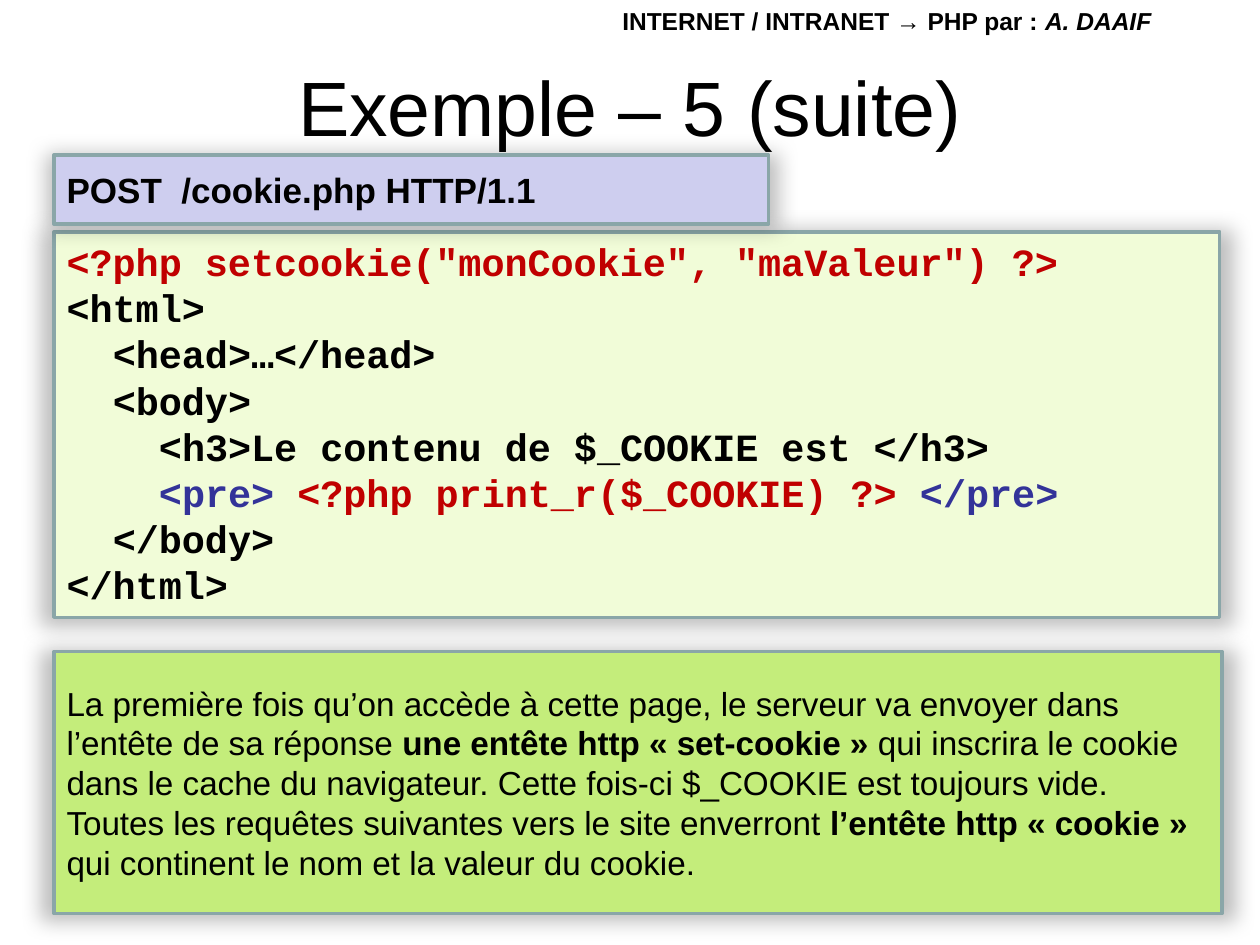
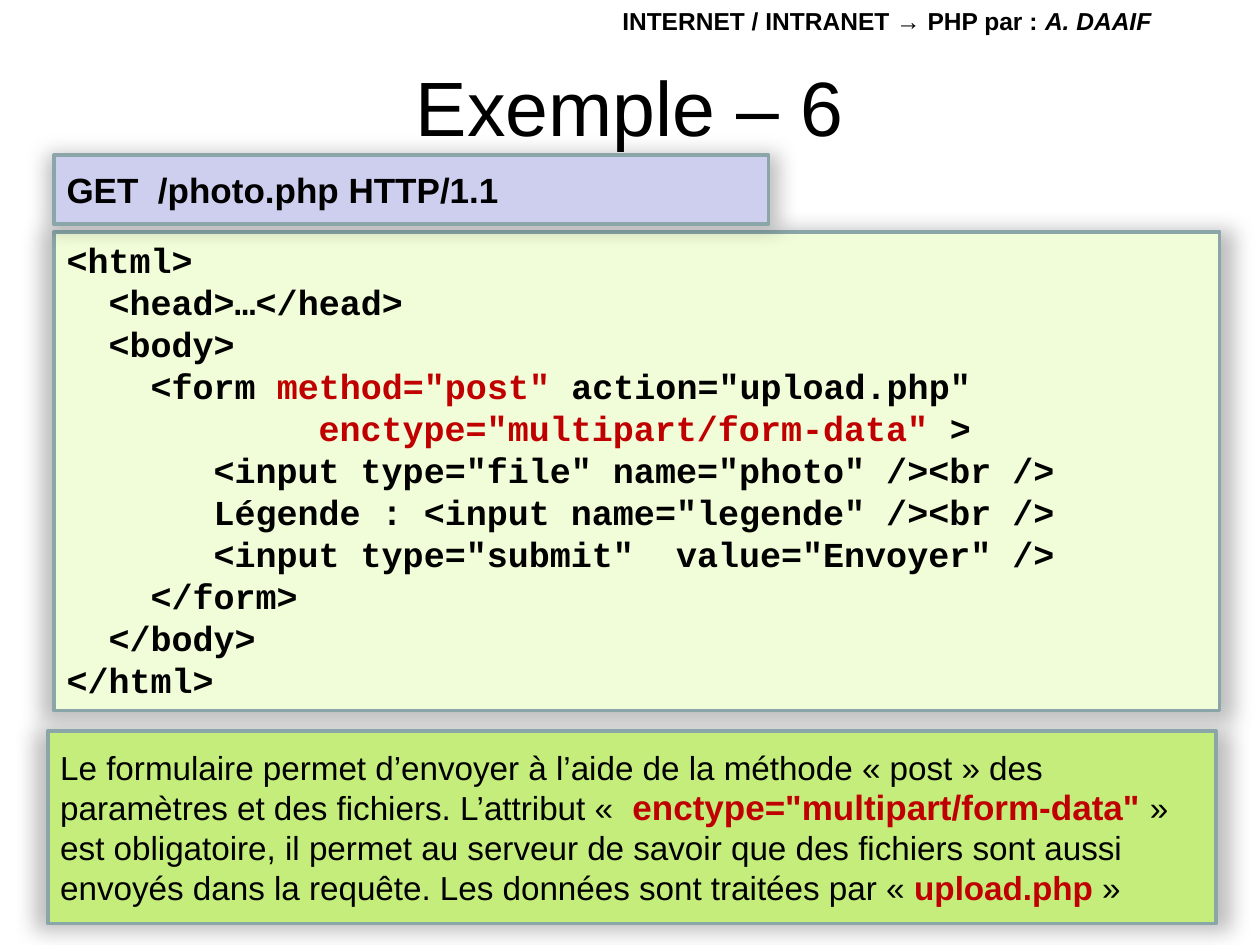
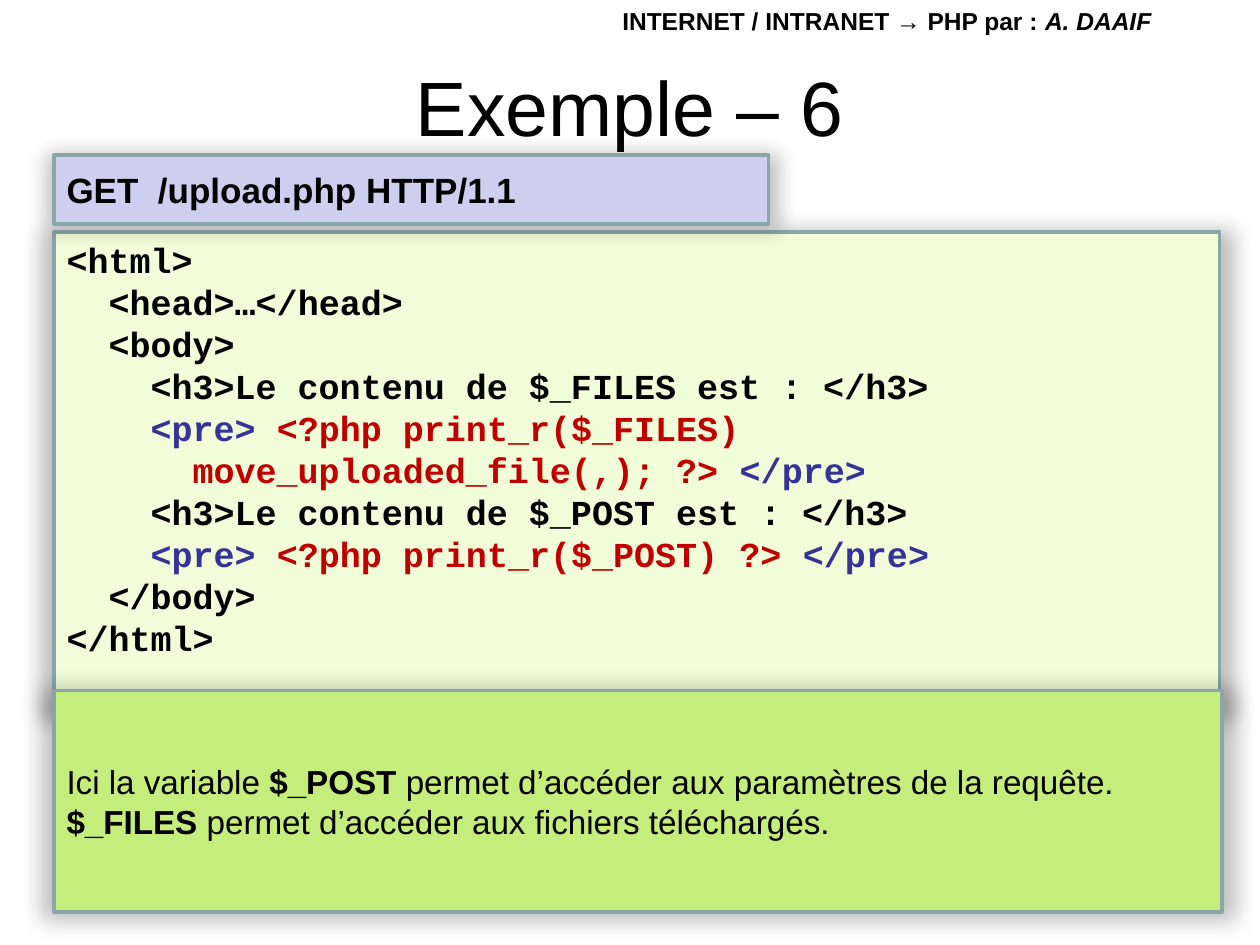
from lxml import etree
from pptx import Presentation
from pptx import util as u
from pptx.dml.color import RGBColor
from pptx.enum import shapes, text
from pptx.oxml.ns import qn

COLORS = {
    "black": "000000", "red": "C00000", "blue": "333399", "border": "8AA6A8",
    "code": "F1FCD8", "note": "C4ED7B", "request": "CECEEF",
}
SHADOWS = {
    "box": {"blurRad": u.Pt(12), "dist": 0, "dir": 5400000, "sx": 102000,
            "sy": 102000, "algn": "t", "rotWithShape": 0, "alpha": 25000},
    "title": {"blurRad": u.Pt(4), "dist": u.Pt(3), "dir": 2700000,
              "algn": "tl", "alpha": 43000},
}
LINE_PITCH = 1.2       # line distance as a share of the font size
COLUMN_WIDTH = 0.6     # Courier New character width as a share of the font size

# Run formats
PLAIN = {}
RED = {"color": "red"}
BLUE = {"color": "blue"}
BOLD = {"bold": True}
ALERT = {"color": "red", "bold": True}
ITALIC = {"italic": True}

HEADER = [(0, [("INTERNET / INTRANET → PHP par : ", PLAIN), ("A. DAAIF", ITALIC)])]

# Paragraphs are (indent in columns, runs); runs are (text, format)
SLIDES = [
    {
        "title": "Exemple – 5 (suite)",
        "request": "POST  /cookie.php HTTP/1.1",
        "code_size": 22, "code_height": 3.06,
        "code": [
            (0, [('<?php setcookie("monCookie", "maValeur") ?>', RED)]),
            (0, [("<html>", PLAIN)]),
            (2, [("<head>…</head>", PLAIN)]),
            (2, [("<body>", PLAIN)]),
            (4, [("<h3>Le contenu de $_COOKIE est </h3>", PLAIN)]),
            (4, [("<pre> ", BLUE), ("<?php print_r($_COOKIE) ?> ", RED), ("</pre>", BLUE)]),
            (2, [("</body>", PLAIN)]),
            (0, [("</html>", PLAIN)]),
        ],
        "note_at": (0.43, 5.17, 9.27, 2.08),
        "note": [
            (0, [("La première fois qu’on accède à cette page, le serveur va envoyer "
                  "dans l’entête de sa réponse ", PLAIN),
                 ("une entête http «\u00a0set-cookie\u00a0» ", BOLD),
                 ("qui inscrira le cookie dans le cache du navigateur. Cette fois-ci "
                  "$_COOKIE est toujours vide.", PLAIN)]),
            (0, [("Toutes les requêtes suivantes vers le site enverront ", PLAIN),
                 ("l’entête http «\u00a0cookie\u00a0» ", BOLD),
                 ("qui continent le nom et la valeur du cookie.", PLAIN)]),
        ],
    },
    {
        "title": "Exemple – 6",
        "request": "GET  /photo.php HTTP/1.1",
        "code_size": 20, "code_height": 3.8,
        "code": [
            (0, [("<html>", PLAIN)]),
            (2, [("<head>…</head>", PLAIN)]),
            (2, [("<body>", PLAIN)]),
            (4, [("<form ", PLAIN), ('method="post" ', RED), ('action="upload.php"', PLAIN)]),
            (12, [('enctype="multipart/form-data"', RED), (" >", PLAIN)]),
            (7, [('<input type="file" name="photo" /><br />', PLAIN)]),
            (7, [('Légende : <input name="legende" /><br />', PLAIN)]),
            (7, [('<input type="submit"\u00a0 value="Envoyer" />', PLAIN)]),
            (4, [("</form>", PLAIN)]),
            (2, [("</body>", PLAIN)]),
            (0, [("</html>", PLAIN)]),
        ],
        "note_at": (0.38, 5.8, 9.27, 1.53),
        "note": [
            (0, [("Le formulaire permet d’envoyer à l’aide de la méthode "
                  "«\u00a0post\u00a0» des paramètres et des fichiers. L’attribut «\u00a0", PLAIN),
                 (' enctype="multipart/form-data" ', {**ALERT, "size": 20}),
                 ("» est obligatoire, il permet au serveur de savoir que des fichiers "
                  "sont aussi envoyés dans la requête. Les données sont traitées par "
                  "«\u00a0", PLAIN),
                 ("upload.php", ALERT), ("\u00a0»", PLAIN)]),
        ],
    },
    {
        "title": "Exemple – 6",
        "request": "GET  /upload.php HTTP/1.1",
        "code_size": 20, "code_height": 3.8,
        "code": [
            (0, [("<html>", PLAIN)]),
            (2, [("<head>…</head>", PLAIN)]),
            (2, [("<body>", PLAIN)]),
            (4, [("<h3>Le contenu de $_FILES est : </h3>", PLAIN)]),
            (4, [("<pre> ", BLUE), ("<?php print_r($_FILES)", RED)]),
            (6, [("move_uploaded_file(,); ?> ", RED), ("</pre>", BLUE)]),
            (4, [("<h3>Le contenu de $_POST est : </h3>", PLAIN)]),
            (4, [("<pre> ", BLUE), ("<?php print_r($_POST) ?> ", RED), ("</pre>", BLUE)]),
            (2, [("</body>", PLAIN)]),
            (0, [("</html>", PLAIN)]),
        ],
        "note_at": (0.43, 5.48, 9.27, 1.76),
        "note": [
            (0, [("Ici la variable ", PLAIN), ("$_POST ", BOLD),
                 ("permet d’accéder aux paramètres de la requête. ", PLAIN),
                 ("$_FILES ", BOLD),
                 ("permet d’accéder aux fichiers téléchargés.", PLAIN)]),
        ],
    },
]


def write_text(shape, paragraphs, anchor, align=text.PP_ALIGN.LEFT, pitch=None, **base):
    """Fill a shape with indented paragraphs of formatted runs."""
    frame = shape.text_frame
    frame.word_wrap = True
    frame.vertical_anchor = anchor
    for index, (columns, runs) in enumerate(paragraphs):
        paragraph = frame.add_paragraph() if index else frame.paragraphs[0]
        paragraph.alignment = align
        if pitch:
            paragraph.line_spacing = u.Pt(base["size"] * pitch)
        if columns:
            indent = u.Pt(columns * COLUMN_WIDTH * base["size"])
            paragraph._p.get_or_add_pPr().set("marL", str(indent))
        for words, changes in runs:
            run = paragraph.add_run()
            run.text = words
            values = {"name": "Arial", "color": "black", "bold": False, **base, **changes}
            run.font.color.rgb = RGBColor.from_string(COLORS[values.pop("color")])
            values["size"] = u.Pt(values["size"])
            for name, value in values.items():
                setattr(run.font, name, value)


def add_shadow(effects, kind):
    """Put a soft black outer shadow in an effect list."""
    values = dict(SHADOWS[kind])
    alpha = values.pop("alpha")
    shadow = etree.SubElement(effects, qn("a:outerShdw"))
    for name, value in values.items():
        shadow.set(name, str(value))
    color = etree.SubElement(shadow, qn("a:srgbClr"), val=COLORS["black"])
    etree.SubElement(color, qn("a:alpha"), val=str(alpha))


presentation = Presentation()
presentation.slide_width = u.Inches(10)
presentation.slide_height = u.Inches(7.5)
title_only = presentation.slide_layouts[5]
TOP, MIDDLE = text.MSO_ANCHOR.TOP, text.MSO_ANCHOR.MIDDLE

for content in SLIDES:
    slide = presentation.slides.add_slide(title_only)

    title = slide.shapes.title
    title.left, title.top, title.width, title.height = map(u.Inches, (0.5, 0.44, 9, 0.79))
    write_text(title, [(0, [(content["title"], PLAIN)])], MIDDLE,
               text.PP_ALIGN.CENTER, size=44)
    title.text_frame.auto_size = text.MSO_AUTO_SIZE.NONE
    run_properties = title.text_frame.paragraphs[0].runs[0].font._element
    effects = etree.Element(qn("a:effectLst"))
    run_properties.find(qn("a:solidFill")).addnext(effects)
    add_shadow(effects, "title")

    header = slide.shapes.add_textbox(*map(u.Inches, (4.84, 0, 5.28, 0.37)))
    write_text(header, HEADER, TOP, size=14, bold=True)

    boxes = [
        ("code", (0.43, 1.84, 9.25, content["code_height"]), content["code"], TOP,
         {"size": content["code_size"], "name": "Courier New", "bold": True,
          "pitch": LINE_PITCH}),
        ("note", content["note_at"], content["note"], MIDDLE,
         {"size": 19, "pitch": LINE_PITCH}),
        ("request", (0.43, 1.23, 5.67, 0.55), [(0, [(content["request"], PLAIN)])], MIDDLE,
         {"size": 20, "bold": True}),
    ]
    for kind, place, paragraphs, anchor, base in boxes:
        box = slide.shapes.add_shape(shapes.MSO_SHAPE.RECTANGLE, *map(u.Inches, place))
        box.fill.solid()
        box.fill.fore_color.rgb = RGBColor.from_string(COLORS[kind])
        box.line.color.rgb = RGBColor.from_string(COLORS["border"])
        box.line.width = u.Pt(2)
        box.shadow.inherit = False
        add_shadow(box._element.spPr.find(qn("a:effectLst")), "box")
        write_text(box, paragraphs, anchor, **base)

presentation.save("out.pptx")
